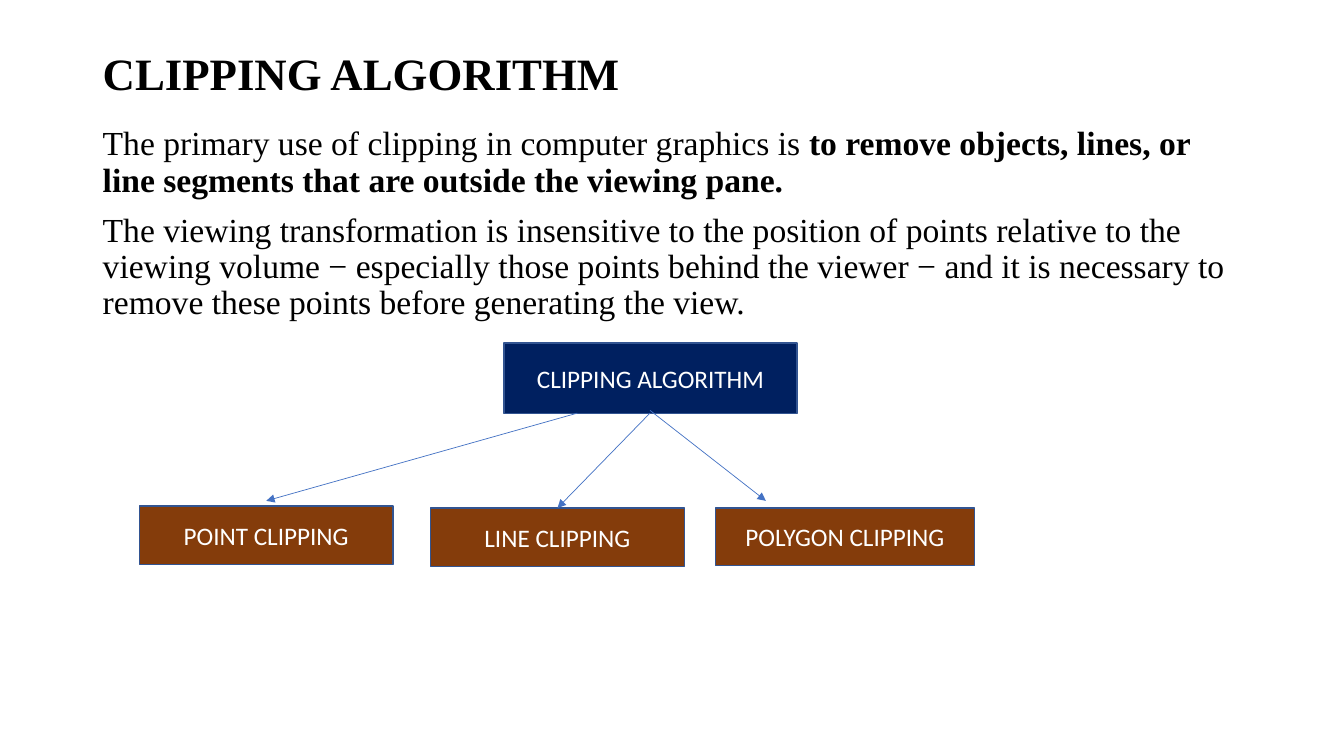
from dataclasses import dataclass

import pptx
import pptx.dml.color
import pptx.enum.shapes
import pptx.enum.text
import pptx.oxml.ns
import pptx.util
from lxml import etree

Cm = pptx.util.Cm
Pt = pptx.util.Pt
RGBColor = pptx.dml.color.RGBColor
Anchor = pptx.enum.text.MSO_ANCHOR

BLACK = RGBColor(0x00, 0x00, 0x00)
WHITE = RGBColor(0xFF, 0xFF, 0xFF)
NAVY = RGBColor(0x00, 0x20, 0x60)
BROWN = RGBColor(0x84, 0x3C, 0x0B)
EDGE = RGBColor(0x32, 0x54, 0x91)
BLUE = RGBColor(0x44, 0x72, 0xC4)
SERIF = "Times New Roman"
SANS = "Calibri"


@dataclass
class Box:
    text: str
    left: float
    top: float
    width: float
    height: float
    fill: RGBColor


@dataclass
class Arrow:
    x1: float
    y1: float
    x2: float
    y2: float


@dataclass
class Part:
    text: str
    bold: bool = False


BOXES = [
    Box("CLIPPING ALGORITHM", 12.7, 8.64, 7.39, 1.78, NAVY),
    Box("POINT CLIPPING", 3.51, 12.75, 6.4, 1.47, BROWN),
    Box("LINE CLIPPING", 10.85, 12.8, 6.4, 1.47, BROWN),
    Box("POLYGON CLIPPING", 18.03, 12.8, 6.53, 1.45, BROWN),
]

ARROWS = [
    Arrow(14.55, 10.41, 6.71, 12.62),
    Arrow(16.38, 10.41, 14.05, 12.8),
    Arrow(16.38, 10.34, 19.3, 12.62),
]

TITLE = [[Part("CLIPPING ALGORITHM", True)]]
BODY = [
    [
        Part("The primary use of clipping in computer graphics is "),
        Part("to remove objects, lines, or line segments that are outside the viewing pane.", True),
    ],
    [
        Part(
            "The viewing transformation is insensitive to the position of points relative "
            "to the viewing volume − especially those points behind the viewer − and it is "
            "necessary to remove these points before generating the view."
        )
    ],
]


def style(run, face: str, size: int, color: RGBColor, bold: bool = False) -> None:
    run.font.name = face
    run.font.size = Pt(size)
    run.font.color.rgb = color
    run.font.bold = bold


def add_text(slide, top: float, height: float, paras: list[list[Part]],
             size: int, anchor: Anchor, gap: int) -> None:
    frame = slide.shapes.add_textbox(Cm(2.34), Cm(top), Cm(29.21), Cm(height)).text_frame
    frame.word_wrap = True
    frame.vertical_anchor = anchor
    for index, parts in enumerate(paras):
        para = frame.add_paragraph() if index else frame.paragraphs[0]
        para.line_spacing = 0.9
        para.space_before = Pt(gap)
        for part in parts:
            run = para.add_run()
            run.text = part.text
            style(run, SERIF, size, BLACK, part.bold)


def add_box(slide, box: Box) -> None:
    shape = slide.shapes.add_shape(
        pptx.enum.shapes.MSO_SHAPE.RECTANGLE,
        Cm(box.left), Cm(box.top), Cm(box.width), Cm(box.height),
    )
    shape.shadow.inherit = False
    shape.fill.solid()
    shape.fill.fore_color.rgb = box.fill
    shape.line.color.rgb = EDGE
    shape.line.width = Pt(1)
    frame = shape.text_frame
    frame.text = box.text
    frame.vertical_anchor = Anchor.MIDDLE
    para = frame.paragraphs[0]
    para.alignment = pptx.enum.text.PP_ALIGN.CENTER
    style(para.runs[0], SANS, 18, WHITE)


def add_arrow(slide, arrow: Arrow) -> None:
    line = slide.shapes.add_connector(
        pptx.enum.shapes.MSO_CONNECTOR.STRAIGHT,
        Cm(arrow.x1), Cm(arrow.y1), Cm(arrow.x2), Cm(arrow.y2),
    )
    line.line.color.rgb = BLUE
    line.line.width = Pt(0.5)
    qn = pptx.oxml.ns.qn
    props = line._element.spPr
    etree.SubElement(props.find(qn("a:ln")), qn("a:tailEnd"), type="triangle")
    etree.SubElement(props, qn("a:effectLst"))


deck = pptx.Presentation()
deck.slide_width = Cm(33.87)
deck.slide_height = Cm(19.05)
slide = deck.slides.add_slide(deck.slide_layouts[6])

add_text(slide, 1.02, 1.78, TITLE, 32, Anchor.MIDDLE, 0)
add_text(slide, 3.07, 15.21, BODY, 24, Anchor.TOP, 10)
for box in BOXES:
    add_box(slide, box)
for arrow in ARROWS:
    add_arrow(slide, arrow)

deck.save("out.pptx")
